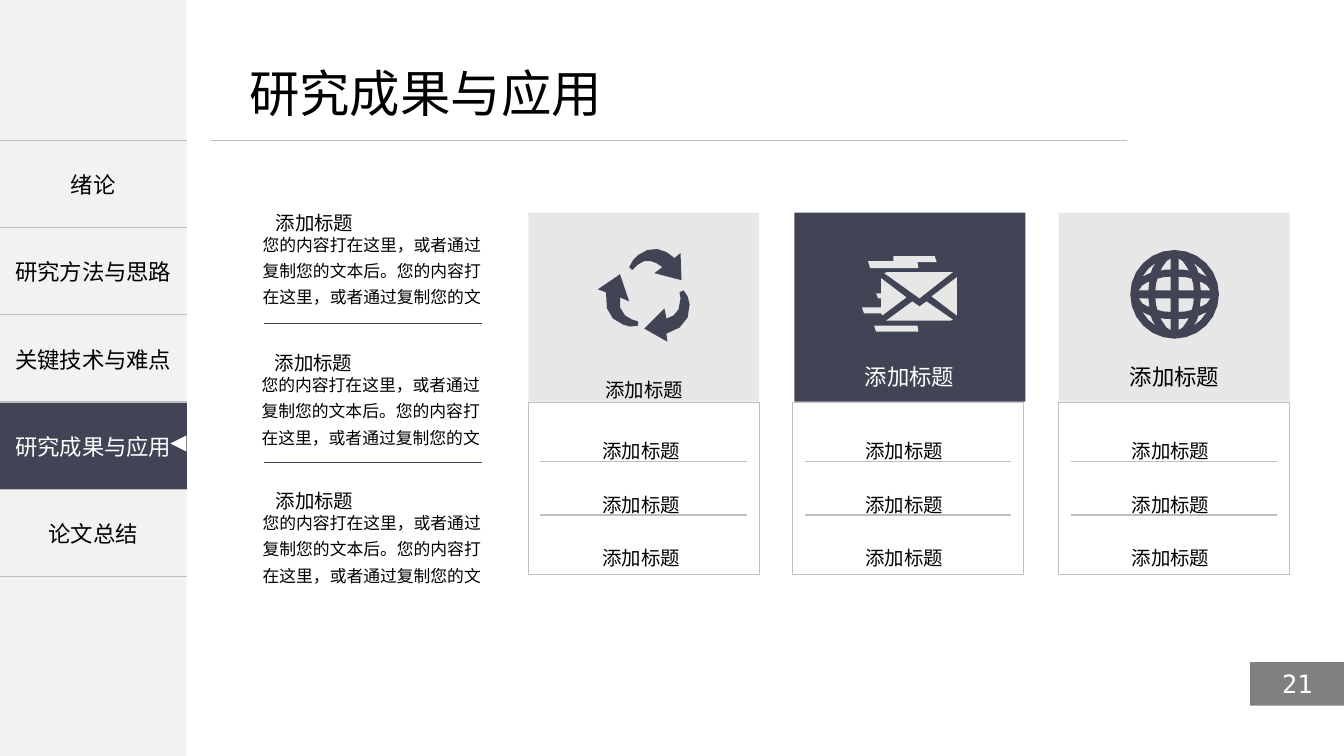
from lxml import etree
from pptx import Presentation
from pptx.dml.color import RGBColor
from pptx.enum.shapes import MSO_CONNECTOR, MSO_SHAPE
from pptx.enum.text import MSO_ANCHOR, PP_ALIGN
from pptx.oxml.ns import qn
from pptx.util import Inches, Pt

RECT, TRIANGLE = MSO_SHAPE.RECTANGLE, MSO_SHAPE.ISOSCELES_TRIANGLE
STRAIGHT = MSO_CONNECTOR.STRAIGHT
TOP, MIDDLE = MSO_ANCHOR.TOP, MSO_ANCHOR.MIDDLE
LEFT, CENTER = PP_ALIGN.LEFT, PP_ALIGN.CENTER
CELL = Inches(0.1)
NAVY, PALE, MIST, RULE = "414455", "E7E7E7", "F2F2F2", "BFBFBF"
BLACK, WHITE, GREY = "000000", "FFFFFF", "808080"
CJK, MONO = "Noto Sans CJK SC", "DejaVu Sans Mono"
HEADING = "添加标题"
BODY = "您的内容打在这里，或者通过复制您的文本后。您的内容打在这里，或者通过复制您的文"


def paint(fill, color):
    fill.solid()
    fill.fore_color.rgb = RGBColor.from_string(color)


def write(frame, text, size, color=BLACK, align=CENTER, anchor=TOP, font=CJK):
    frame.word_wrap = True
    frame.vertical_anchor = anchor
    frame.margin_left = frame.margin_right = Inches(0.05)
    frame.margin_top = frame.margin_bottom = Inches(0.05)
    paragraph = frame.paragraphs[0]
    paragraph.alignment = align
    run = paragraph.add_run()
    run.text = text
    run.font.size = Pt(size)
    run.font.name = font
    paint(run.font.fill, color)
    props = run._r.get_or_add_rPr()
    etree.SubElement(props, qn("a:ea")).set("typeface", font)
    if size == 24:
        props.set("baseline", "-3000")
    return paragraph


deck = Presentation()
deck.slide_width, deck.slide_height = Inches(13.33), Inches(7.5)
slide = deck.slides.add_slide(deck.slide_layouts[6])
shapes = slide.shapes

blocks = [(0, 0, 18.5, 75, MIST, None), (124, 65.7, 9.35, 4.3, GREY, None)]
rules = [(20.9, 13.9, 90.9, RULE, 0.5)]
labels = [(24.2, 5.7, 40, 7.9, "研究成果与应用", 36, BLACK, LEFT)]

for left, top in ((25.1, 18.9), (25, 32.8), (25.1, 46.5)):
    labels.append((left, top, 12.2, 5.6, HEADING, 24, BLACK, CENTER))
    labels.append((left + 0.45, top + 3.3, 24, 9.5, BODY, 12, BLACK, LEFT))
for top in (32.1, 45.9):
    rules.append((26.2, top, 21.6, NAVY, 1))

cards = [
    (52.4, 52.4, 57.8, 57.5, 24, PALE, BLACK),
    (78.6, 78.8, 84.1, 83.6, 16, NAVY, WHITE),
    (105, 105, 110.4, 110, 16, PALE, BLACK),
]
for left, head_left, title_left, item_left, size, color, ink in cards:
    blocks.append((left, 39.9, 22.9, 17.1, None, RULE))
    blocks.append((head_left, 21.1, 22.9, 18.75, color, None))
    labels.append((title_left, 35.5, 12.2, 5.6, HEADING, size, ink, CENTER))
    for row in range(3):
        labels.append((item_left, 41.6 + row * 5.3, 12.2, 5.6, HEADING, 24, BLACK, CENTER))
    for row in range(2):
        rules.append((left + 1.2, 45.8 + row * 5.3, 20.5, RULE, 1))

for left, top, width, height, color, edge in blocks:
    block = shapes.add_shape(RECT, *(round(n * CELL) for n in (left, top, width, height)))
    block.shadow.inherit = False
    if color:
        paint(block.fill, color)
    else:
        block.fill.background()
    if edge:
        paint(block.line.fill, edge)
        block.line.width = Pt(1)
    else:
        block.line.fill.background()
    if color == GREY:
        write(block.text_frame, "21", 18, WHITE, CENTER, MIDDLE, MONO)

chapters = ["绪论", "研究方法与思路", "关键技术与难点", "研究成果与应用", "论文总结"]
menu = shapes.add_table(len(chapters), 1, 0, round(13.9 * CELL),
                        round(18.5 * CELL), round(43.3 * CELL)).table
for row, chapter in enumerate(chapters):
    menu.rows[row].height = round(43.3 * CELL / len(chapters))
    item = menu.cell(row, 0)
    active = chapter == "研究成果与应用"
    write(item.text_frame, chapter, 16, WHITE if active else BLACK)
    item.vertical_anchor = MIDDLE
    item.margin_left = item.margin_right = Inches(0.05)
    item.margin_top = item.margin_bottom = Inches(0.05)
    props = item._tc.get_or_add_tcPr()
    for side in ("a:lnL", "a:lnR", "a:lnT", "a:lnB"):
        border = etree.SubElement(props, qn(side), w="12700")
        if side in ("a:lnT", "a:lnB"):
            solid = etree.SubElement(border, qn("a:solidFill"))
            etree.SubElement(solid, qn("a:srgbClr"), val=RULE)
        else:
            etree.SubElement(border, qn("a:noFill"))
    paint(item.fill, NAVY if active else MIST)

pointer = shapes.add_shape(TRIANGLE, *(round(n * CELL) for n in (16.9, 43.2, 1.6, 1.6)))
pointer.rotation = 270
pointer.shadow.inherit = False
paint(pointer.fill, WHITE)
pointer.line.fill.background()

for left, top, width, color, weight in rules:
    rule = shapes.add_connector(STRAIGHT, round(left * CELL), round(top * CELL),
                                round((left + width) * CELL), round(top * CELL))
    paint(rule.line.fill, color)
    rule.line.width = Pt(weight)
    etree.SubElement(rule._element.spPr, qn("a:effectLst"))

recycling = [
    [(66.2, 33.9), (63.9, 32.6), (65.9, 30.6), (66.1, 31.6), (66.8, 31.3), (67.3, 30.7),
     (67.5, 29.6), (67.4, 29), (67.8, 28.8), (68.2, 29.4), (68.4, 30.2), (68.2, 31.5),
     (67.4, 32.5), (66.1, 33.1)],
    [(59.3, 28.7), (61.5, 27.2), (62.4, 29.9), (61.5, 29.5), (61.5, 30.5), (62, 31.3),
     (62.7, 31.7), (63.3, 31.9), (63.3, 32.3), (62.5, 32.4), (61.8, 32.2), (60.8, 31.6),
     (60.2, 30.6), (60.1, 29)],
    [(67.5, 25.1), (66.9, 25.6), (66.1, 25), (65.2, 24.7), (64.2, 24.8), (63.3, 25.3),
     (62.8, 25.8), (62.4, 26.5), (62.7, 26.8), (63.2, 26.3), (63.9, 25.9), (64.5, 25.9),
     (65.1, 26.1), (65.7, 26.5), (64.9, 27.1), (67.6, 27.8)],
]
envelope = [
    [(88, 27), (94.5, 27), (91.2, 29.6), (87.7, 27.1)],
    [(86.9, 29.1), (87.1, 29.6), (87.4, 29.6), (87.4, 30.5), (85.5, 30.5), (85.7, 31.1),
     (87.4, 31.1), (87.5, 31.3), (89.9, 29.5), (87.4, 27.6), (87.4, 29.1)],
    [(86.7, 32.3), (91, 32.3), (91.1, 32.9), (86.9, 32.9)],
    [(88.6, 25.4), (92.7, 25.4), (92.9, 26), (91, 26), (91.1, 26.6), (86.3, 26.6),
     (86.1, 25.9), (88.6, 25.9)],
    [(94.9, 27.5), (92.4, 29.4), (94.9, 31.3)],
    [(94.5, 31.7), (94.3, 31.8), (88, 31.8), (87.9, 31.8), (90.5, 29.9), (91.2, 30.4),
     (91.9, 29.9)],
]
globe_windows = [
    [(0.4, 3.55), (0.8, 3.3), (1.25, 2.65), (1.4, 2.35), (0.9, 2.45), (0.4, 2.45)],
    [(0.4, 0.4), (0.4, 1.75), (1.1, 1.7), (1.7, 1.55), (1.85, 1), (1.9, 0.4)],
    [(2.6, 0.4), (2.55, 0.8), (2.5, 1.2), (2.7, 1.2), (3.2, 0.9), (3.55, 0.4)],
    [(2.35, 2.15), (2.2, 2.6), (1.95, 3), (1.9, 3.1), (2.6, 2.55), (3.2, 1.75)],
]
globe_quarter = [(4.4, 0), (4.25, 1.14), (3.81, 2.2), (3.11, 3.11), (2.2, 3.81), (1.14, 4.25)]
globe_rim = []
for turn_x, turn_y in ((1, 0), (0, 1), (-1, 0), (0, -1)):
    globe_rim += [(116.5 + x * turn_x - y * turn_y, 29.2 + x * turn_y + y * turn_x)
                  for x, y in globe_quarter]
globe = [globe_rim]
for flip_x in (1, -1):
    for flip_y in (1, -1):
        globe += [[(116.5 + x * flip_x, 29.2 + y * flip_y) for x, y in window]
                  for window in globe_windows]

for outlines, color in ((recycling, NAVY), (envelope, PALE), (globe, NAVY)):
    builder = None
    for outline in outlines:
        points = [(round(x * CELL), round(y * CELL)) for x, y in outline]
        if builder:
            builder.move_to(*points[0])
        else:
            builder = shapes.build_freeform(*points[0])
        builder.add_line_segments(points[1:], close=True)
    icon = builder.convert_to_shape()
    icon.shadow.inherit = False
    paint(icon.fill, color)
    icon.line.fill.background()

for left, top, width, height, text, size, color, align in labels:
    label = shapes.add_textbox(*(round(n * CELL) for n in (left, top, width, height)))
    paragraph = write(label.text_frame, text, size, color, align)
    if text == BODY:
        paragraph.line_spacing = 1.3

deck.save("out.pptx")
